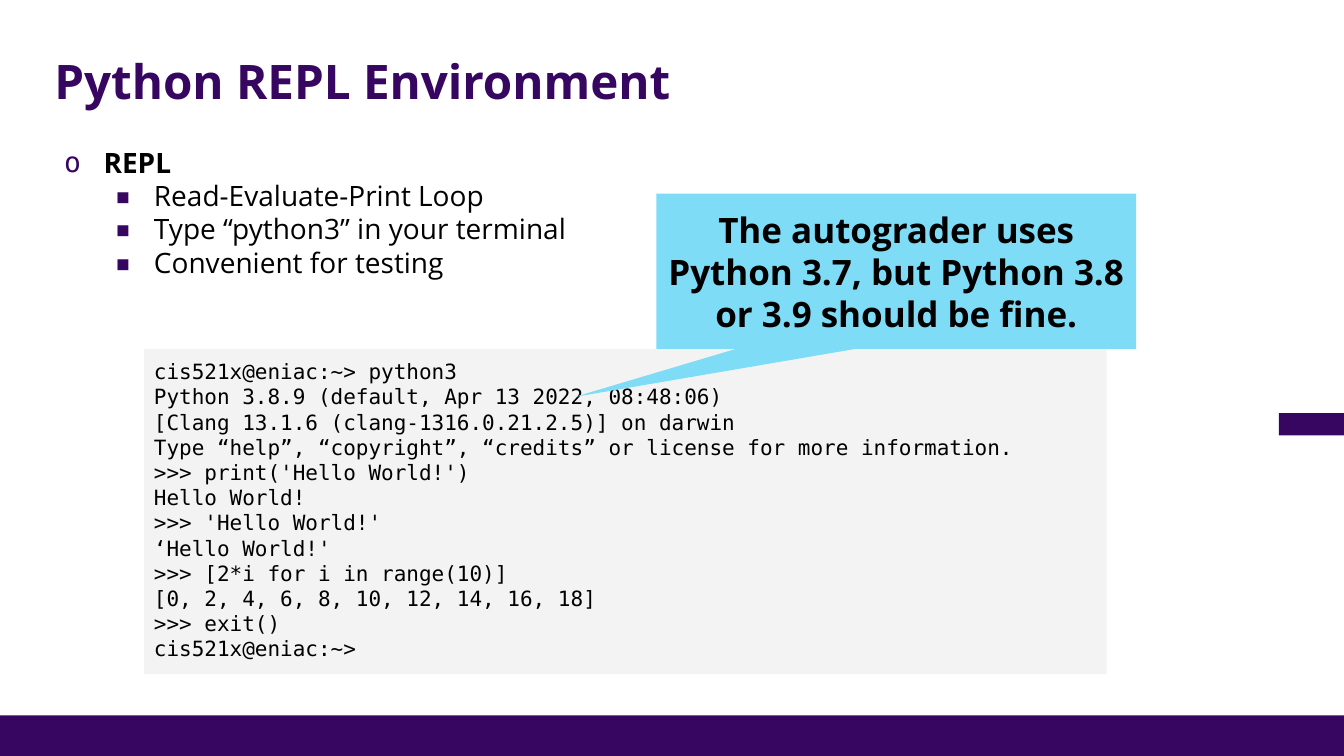
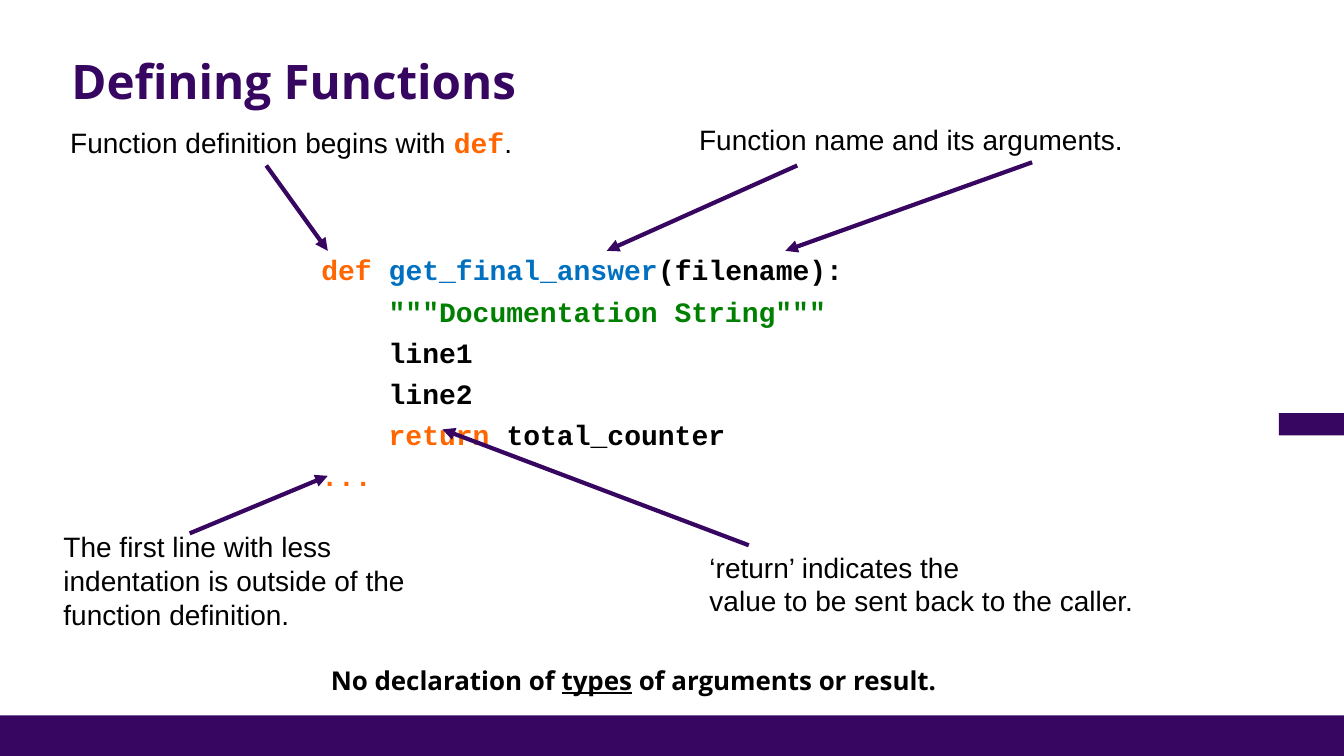
from lxml import etree
from pptx import Presentation
from pptx.dml.color import RGBColor
from pptx.enum.shapes import MSO_CONNECTOR, MSO_SHAPE
from pptx.enum.text import MSO_ANCHOR, PP_ALIGN
from pptx.oxml.ns import qn
from pptx.util import Cm, Pt

COLORS = {
    "purple": "370661", "black": "000000", "panel": "F3F3F3", "callout": "7EDCF6",
    "keyword": "FF6600", "name": "0070C0", "string": "008000",
}
SANS, PLAIN, CODE, TERMINAL = "Open Sans", "Arial", "Courier New", "DejaVu Sans Mono"


def add_box(page, place, paragraphs, font=PLAIN, size=20, bold=False, shape=None, fill=None):
    """Add a text box or filled shape; each paragraph is a list of (text, format) spans."""
    place = [Cm(length) for length in place]
    if shape is None:
        box = page.shapes.add_textbox(*place)
    else:
        box = page.shapes.add_shape(shape, *place)
        box.shadow.inherit = False
        box.fill.solid()
        box.fill.fore_color.rgb = RGBColor.from_string(COLORS[fill])
        box.line.fill.background()
    frame = box.text_frame
    frame.word_wrap = True
    frame.vertical_anchor = MSO_ANCHOR.TOP
    for index, spans in enumerate(paragraphs):
        para = frame.paragraphs[0] if index == 0 else frame.add_paragraph()
        para.alignment = PP_ALIGN.LEFT
        for text, look in spans:
            for number, line in enumerate(text.split("\n")):
                if number:
                    para.add_line_break()
                span = para.add_run()
                span.text = line
                span.font.name = look.get("font", font)
                span.font.size = Pt(size)
                span.font.bold = look.get("bold", bold)
                span.font.underline = look.get("underline")
                span.font.color.rgb = RGBColor.from_string(COLORS[look.get("color", "black")])
    return box


def add_page(deck, title, title_left):
    page = deck.slides.add_slide(deck.slide_layouts[6])
    for place in [(0, 18.03, 33.87, 1.02), (32.23, 10.41, 1.64, 0.56)]:
        add_box(page, place, [], shape=MSO_SHAPE.RECTANGLE, fill="purple")
    heading = add_box(page, (title_left, 1.35, 29.3, 1.8), [[(title, {"color": "purple"})]],
                      font=SANS, size=34, bold=True)
    heading.text_frame.paragraphs[0].line_spacing = 0.9
    return page


deck = Presentation()
deck.slide_width, deck.slide_height = Cm(33.87), Cm(19.05)

# Python REPL Environment
page = add_page(deck, "Python REPL Environment", 1.12)

points = [
    ("REPL", 0), ("Read-Evaluate-Print Loop", 1),
    ("Type “python3” in your terminal", 1), ("Convenient for testing", 1),
]
box = add_box(page, (1.09, 3.63, 15, 4.2),
              [[(text, {"bold": level == 0})] for text, level in points], font=SANS)
for para, (text, level) in zip(box.text_frame.paragraphs, points):
    para.level = level
    properties = para._p.get_or_add_pPr()
    properties.set("marL", str(Cm(1.27 * (level + 1))))
    properties.set("indent", str(Cm(-0.99)))
    bullet_color = etree.SubElement(properties, qn("a:buClr"))
    etree.SubElement(bullet_color, qn("a:srgbClr"), val=COLORS["purple"])
    etree.SubElement(properties, qn("a:buFont"), typeface=TERMINAL)
    etree.SubElement(properties, qn("a:buChar"), char="o▪"[level])
    para.line_spacing = 0.9
    if level:
        para.space_before = Pt(2.2)

session = """cis521x@eniac:~> python3
Python 3.8.9 (default, Apr 13 2022, 08:48:06)
[Clang 13.1.6 (clang-1316.0.21.2.5)] on darwin
Type “help”, “copyright”, “credits” or license for more information.
>>> print('Hello World!')
Hello World!
>>> 'Hello World!'
‘Hello World!'
>>> [2*i for i in range(10)]
[0, 2, 4, 6, 8, 10, 12, 14, 16, 18]
>>> exit()
cis521x@eniac:~>"""
terminal = add_box(page, (3.63, 8.79, 24.26, 8.2),
                   [[(line, {})] for line in session.split("\n")],
                   font=TERMINAL, size=15, shape=MSO_SHAPE.RECTANGLE, fill="panel")
terminal.text_frame.margin_top = Cm(0.25)

callout = add_box(page, (16.54, 4.88, 12.09, 3.91),
                  [[("The autograder uses Python 3.7, but Python 3.8 or 3.9 should be fine.", {})]],
                  font=SANS, size=25, bold=True,
                  shape=MSO_SHAPE.ROUNDED_RECTANGULAR_CALLOUT, fill="callout")
for index, value in enumerate([-0.67, 0.81, 0]):
    callout.adjustments[index] = value
callout.text_frame.vertical_anchor = MSO_ANCHOR.MIDDLE
callout.text_frame.paragraphs[0].alignment = PP_ALIGN.CENTER

# Defining Functions
page = add_page(deck, "Defining Functions", 1.55)

keyword, string = {"color": "keyword"}, {"color": "string"}
notes = [
    ((1.52, 3.05, 14, 1.12), [("Function definition begins with ", {}),
                              ("def", {"font": CODE, "bold": True, "color": "keyword"}),
                              (".", {})]),
    ((17.37, 2.97, 12.47, 1.12), [("Function name and its arguments.", {})]),
    ((1.35, 13.23, 10.74, 2.82),
     [("The first line with less\nindentation is outside of the function definition.", {})]),
    ((17.63, 13.74, 11.33, 1.96),
     [("‘return’ indicates the\nvalue to be sent back to the caller.", {})]),
]
for place, spans in notes:
    add_box(page, place, [spans])

function_lines = [
    [("def ", keyword), ("get_final_answer", {"color": "name"}), ("(filename):", {})],
    [('    """Documentation String"""', string)],
    [("    line1", {})],
    [("    line2", {})],
    [("    return ", keyword), ("total_counter", {})],
    [("...", keyword)],
]
code = add_box(page, (7.85, 6.25, 15.4, 6.2), function_lines, font=CODE, bold=True)
for para in code.text_frame.paragraphs[1:]:
    para.space_before = Pt(5.4)

summary = add_box(page, (7.29, 16.71, 17.35, 1.07),
                  [[("No declaration of ", {}), ("types", {"underline": True}),
                    (" of arguments or result.", {})]],
                  font=SANS, size=18.5, bold=True)
summary.text_frame.paragraphs[0].alignment = PP_ALIGN.CENTER
summary.text_frame.paragraphs[0].line_spacing = 0.9

arrows = [
    (6.71, 4.17, 8.26, 6.32), (20.09, 4.17, 15.29, 6.32), (26.01, 4.09, 19.79, 6.32),
    (4.78, 13.44, 8.26, 11.99), (18.87, 13.74, 11.15, 10.82),
]
for ends in arrows:
    arrow = page.shapes.add_connector(MSO_CONNECTOR.STRAIGHT, *[Cm(end) for end in ends])
    arrow.line.color.rgb = RGBColor.from_string(COLORS["purple"])
    arrow.line.width = Pt(3)
    etree.SubElement(arrow.line._get_or_add_ln(), qn("a:tailEnd"), type="triangle")
    etree.SubElement(arrow._element.spPr, qn("a:effectLst"))

deck.save("out.pptx")
